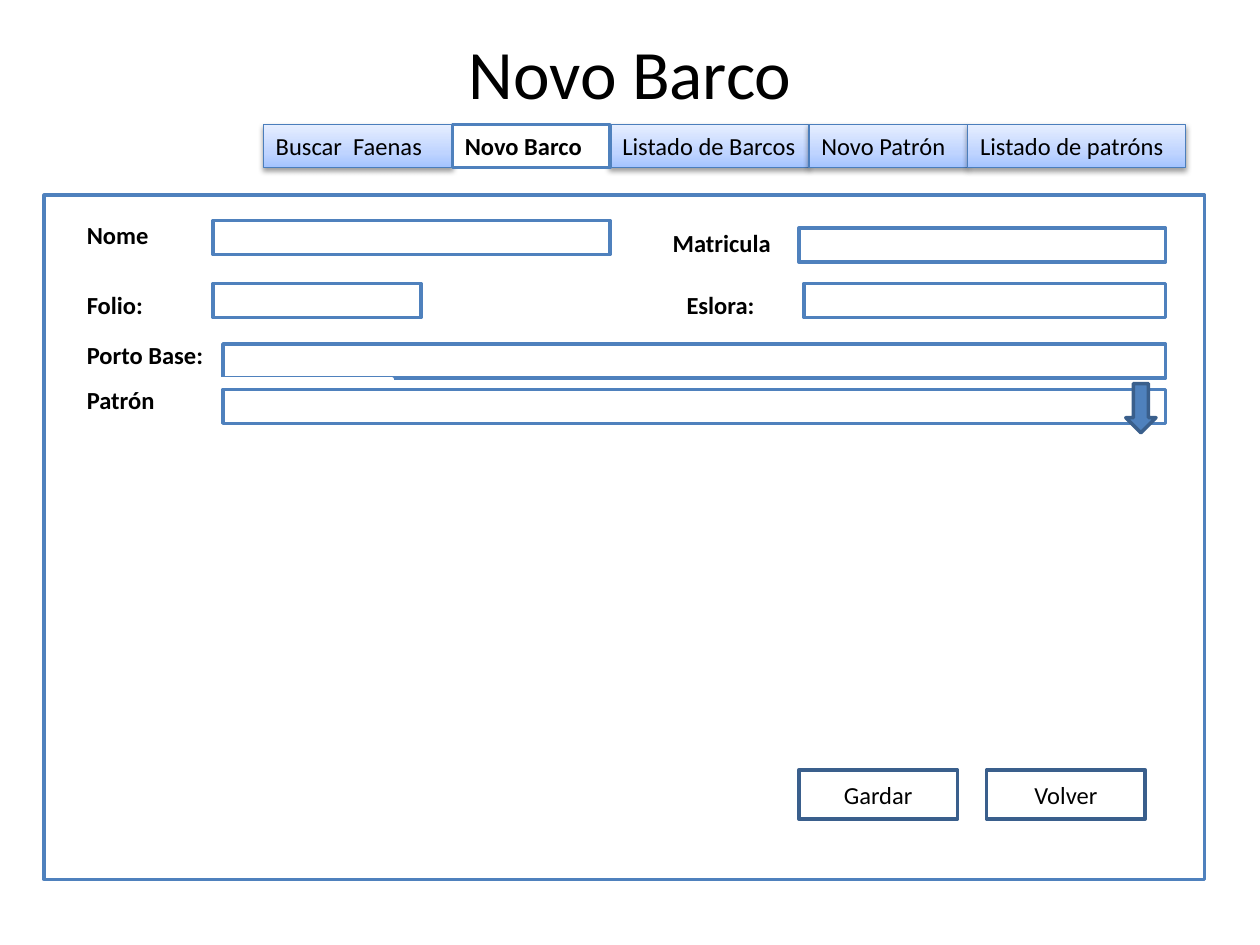
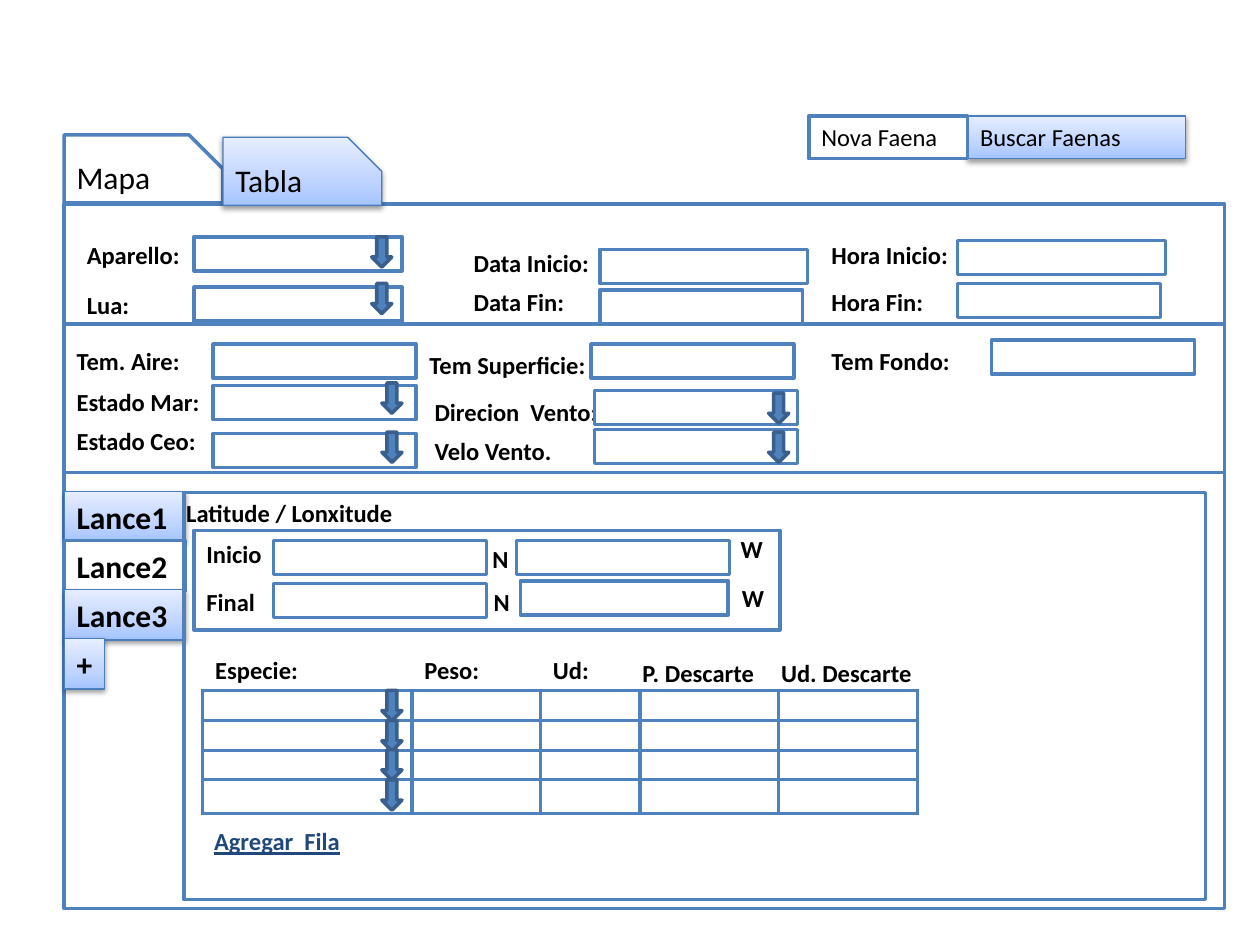
import dataclasses
import pptx
import pptx.util
import pptx.dml.color
import pptx.enum.shapes
import pptx.enum.text
import pptx.oxml
import pptx.oxml.ns

Inches, Pt = pptx.util.Inches, pptx.util.Pt
Kind = pptx.enum.shapes.MSO_SHAPE
Align = pptx.enum.text.PP_ALIGN
Anchor = pptx.enum.text.MSO_ANCHOR
NS = pptx.oxml.ns.nsdecls("a")


@dataclasses.dataclass(frozen=True)
class Theme:
    font: str = "Calibri"
    ink: str = "000000"
    paper: str = "FFFFFF"
    blue: str = "4F81BD"
    dark: str = "3A5F8C"
    rim: str = "4B7EBC"
    link: str = "1F497D"
    glow: tuple = ((0, "A4C4FF"), (35, "BFD4FF"), (100, "E6EEFF"))
    title: float = 39.6
    large: float = 18
    text: float = 14
    line: float = 2
    thin: float = 0.75
    row: float = 0.34    # height of a label or tab
    field: float = 0.27  # height of an input field
    label: float = 2.52  # width of a label


T = Theme()


@dataclasses.dataclass(frozen=True)
class Box:
    x: float
    y: float
    w: float
    h: float

    def sub(self, dx, dy, w, h):
        return Box(self.x + dx, self.y + dy, w, h)

    def frame(self):
        return [Inches(round(v, 2)) for v in (self.x, self.y, self.w, self.h)]


def rgb(code):
    return pptx.dml.color.RGBColor.from_string(code)


# Basic parts
def write(shape, text, size=T.text, bold=False, color=T.ink, center=False):
    frame = shape.text_frame
    frame.text = text
    frame.word_wrap = True
    frame.vertical_anchor = Anchor.MIDDLE if center else Anchor.TOP
    if not center:
        frame.margin_right = 0
    par = frame.paragraphs[0]
    par.alignment = Align.CENTER if center else Align.LEFT
    font = par.runs[0].font
    font.name, font.size, font.bold = T.font, Pt(size), bold
    font.color.rgb = rgb(color)
    return font


def block(slide, box, fill=T.paper, line=T.blue, kind=Kind.RECTANGLE):
    shape = slide.shapes.add_shape(kind, *box.frame())
    shape.shadow.inherit = False
    if fill:
        shape.fill.solid()
        shape.fill.fore_color.rgb = rgb(fill)
    else:
        shape.fill.background()
    shape.line.color.rgb = rgb(line)
    shape.line.width = Pt(T.line)
    return shape


def shade(shape):
    """Give a tab its gradient, thin rim and soft shadow."""
    stops = "".join(f'<a:gs pos="{p * 1000}"><a:srgbClr val="{c}"/></a:gs>'
                    for p, c in T.glow)
    grad = pptx.oxml.parse_xml(
        f'<a:gradFill {NS} rotWithShape="1"><a:gsLst>{stops}</a:gsLst>'
        '<a:lin ang="16200000" scaled="0"/></a:gradFill>')
    cast = pptx.oxml.parse_xml(
        f'<a:outerShdw {NS} blurRad="{Pt(3.1)}" dist="{Pt(1.6)}" dir="5400000"'
        ' rotWithShape="0"><a:srgbClr val="000000"><a:alpha val="38000"/>'
        '</a:srgbClr></a:outerShdw>')
    props = shape.element.spPr
    solid = props.find(pptx.oxml.ns.qn("a:solidFill"))
    props.replace(solid, grad)
    props.find(pptx.oxml.ns.qn("a:effectLst")).append(cast)
    shape.line.color.rgb = rgb(T.rim)
    shape.line.width = Pt(T.thin)


def tab(slide, box, text, live=False, size=T.text, bold=False,
        kind=Kind.RECTANGLE):
    shape = block(slide, box, kind=kind)
    if kind == Kind.SNIP_1_RECTANGLE:
        shape.adjustments[0] = 0.5
    if not live:
        shade(shape)
    write(shape, text, size, bold)


def label(slide, box, text, solid=False):
    if solid:
        shape = block(slide, box, line=T.paper)
    else:
        shape = slide.shapes.add_textbox(*box.frame())
    return write(shape, text, bold=True)


def arrow(slide, box):
    shape = block(slide, box, T.blue, T.dark, Kind.RIGHT_ARROW)
    shape.rotation = 90


def entry(slide, box, text, tag, slot, pick=None, solid=True):
    """A label at tag, a field at slot (x, y, width), an arrow at pick."""
    label(slide, box.sub(*tag, T.label, T.row), text, solid)
    block(slide, box.sub(*slot, T.field), T.paper if solid else None)
    if pick:
        arrow(slide, box.sub(*pick, 0.24, 0.16))


def tabs(slide, box, items, live):
    x = 0
    for text, width in items:
        if text != live:
            tab(slide, box.sub(x, 0, width, box.h), text)
        x += width
    x = 0
    for text, width in items:
        if text == live:
            tab(slide, box.sub(x, 0, width, box.h), text, True,
                bold=len(items) > 2)
        x += width


# Slide 1: form for a new boat
def heading(slide, box, text):
    title = slide.shapes.title
    title.left, title.top, title.width, title.height = box.frame()
    write(title, text, T.title, center=True)


def boat(slide, box):
    block(slide, box)
    for text, tag, slot in (
            ("Nome", (0.24, 0.15), (1.34, 0.2, 3.15)),
            ("Folio:", (0.24, 0.7), (1.34, 0.7, 1.65)),
            ("Eslora:", (5, 0.7), (6.03, 0.7, 2.87)),
            ("Porto Base:", (0.24, 1.1), (1.42, 1.18, 7.48)),
            ("Matricula", (4.89, 0.21), (5.99, 0.26, 2.91)),
            ("Patrón", (0.24, 1.46), (1.42, 1.54, 7.48))):
        entry(slide, box, text, tag, slot)
    arrow(slide, box.sub(8.51, 1.57, 0.39, 0.24))
    for i, text in enumerate(("Gardar", "Volver")):
        key = block(slide, box.sub(5.99 + 1.49 * i, 4.56, 1.26, 0.39),
                    line=T.dark)
        write(key, text, center=True)


# Slide 2: regions of the fishing trip form
def trip(slide, box):
    for text, tag, slot, pick in (
            ("Data Fin:", (3.15, 0.61), (4.25, 0.68, 1.61), None),
            ("Data Inicio:", (3.15, 0.3), (4.25, 0.36, 1.65), None),
            ("Hora Inicio:", (5.99, 0.24), (7.09, 0.29, 1.65), None),
            ("Hora Fin:", (5.99, 0.61), (7.09, 0.63, 1.61), None),
            ("Aparello:", (0.08, 0.24), (1.03, 0.26, 1.65), (2.4, 0.3)),
            ("Lua:", (0.08, 0.63), (1.03, 0.66, 1.65), (2.4, 0.67))):
        entry(slide, box, text, tag, slot, pick)


def weather(slide, box):
    for text, tag, slot, pick in (
            ("Tem. Aire:", (0, 0.13), (1.18, 0.16), None),
            ("Estado Mar:", (0, 0.45), (1.18, 0.49), (2.48, 0.51)),
            ("Estado Ceo:", (0, 0.76), (1.18, 0.87), (2.48, 0.9)),
            ("Tem Superficie:", (2.8, 0.16), (4.18, 0.16), None),
            ("Direcion  Vento:", (2.84, 0.53), (4.21, 0.53), (5.55, 0.59)),
            ("Velo Vento.", (2.84, 0.84), (4.21, 0.84), (5.55, 0.9)),
            ("Tem Fondo:", (5.99, 0.13), (7.36, 0.13), None)):
        entry(slide, box, text, tag, (*slot, 1.61), pick, solid=False)
    block(slide, box, None)


def casts(slide, box):
    for i, text in enumerate(("Lance1", "Lance2", "Lance3", "+")):
        width = 0.32 if text == "+" else box.w
        tab(slide, box.sub(0, 0.39 * i, width, 0.4), text, text == "Lance2",
            T.large, True)


def place(slide, box):
    block(slide, box)
    for x, y, w in ((0.63, 0.08, 1.69), (2.56, 0.08, 1.69),
                    (0.63, 0.42, 1.69), (2.59, 0.4, 1.65)):
        block(slide, box.sub(x, y, w, T.field))
    for text, x, y, w in (
            ("Latitude / Lonxitude", -0.16, -0.31, 2.57),
            ("Inicio", 0, 0.02, 0.8), ("Final", 0, 0.4, 0.8),
            ("N", 2.27, 0.06, 0.4), ("N", 2.28, 0.4, 0.4),
            ("W", 4.24, -0.02, 0.4), ("W", 4.25, 0.37, 0.4)):
        label(slide, box.sub(x, y, w, T.row), text)


def edge(cell):
    """Line all four sides of a cell and keep its empty text small."""
    props = cell._tc.get_or_add_tcPr()
    for i, side in enumerate("LRTB"):
        props.insert(i, pptx.oxml.parse_xml(
            f'<a:ln{side} {NS} w="{Pt(T.line)}"><a:solidFill>'
            f'<a:srgbClr val="{T.blue}"/></a:solidFill></a:ln{side}>'))
    par = cell.text_frame.paragraphs[0]._p
    par.append(pptx.oxml.parse_xml(f'<a:endParaRPr {NS} sz="800"/>'))


def catch(slide, box):
    cols = (("Especie:", 1.66, 0, 0), ("Peso:", 1.02, 0, 0),
            ("Ud:", 0.79, 0, 0), ("P. Descarte", 1.1, -0.08, 0.02),
            ("Ud. Descarte", 1.1, -0.08, 0.02))
    rows = (0.24, 0.24, 0.23, 0.27)
    # Column names
    x = 0
    for text, width, dx, dy in cols:
        label(slide, box.sub(x + dx, dy - 0.33, 1.35, T.row), text)
        x += width
    # Empty grid
    grid = slide.shapes.add_table(len(rows), len(cols), *box.frame()).table
    grid.first_row = grid.horz_banding = False
    for col, part in zip(grid.columns, cols):
        col.width = Inches(part[1])
    for row, height in zip(grid.rows, rows):
        row.height = Inches(height)
        for cell in row.cells:
            cell.margin_top = cell.margin_bottom = 0
            cell.fill.solid()
            cell.fill.fore_color.rgb = rgb(T.paper)
            edge(cell)
    # Species pickers and the link for a new row
    for i in range(len(rows)):
        arrow(slide, box.sub(1.38, 0.04 + 0.237 * i, 0.24, 0.16))
    font = label(slide, box.sub(-0.01, 1.03, 1.98, T.row), "Agregar  Fila",
                 True)
    font.underline = True
    font.color.rgb = rgb(T.link)


def first(deck):
    slide = deck.slides.add_slide(deck.slide_layouts[5])
    heading(slide, Box(0.5, 0.3, 9, 0.54), "Novo Barco")
    tabs(slide, Box(2.09, 0.99, 7.32, T.row),
         (("Buscar  Faenas", 1.5), ("Novo Barco", 1.25),
          ("Listado de Barcos", 1.58), ("Novo Patrón", 1.26),
          ("Listado de patróns", 1.73)), "Novo Barco")
    boat(slide, Box(0.35, 1.55, 9.21, 5.43))


def second(deck):
    slide = deck.slides.add_slide(deck.slide_layouts[6])
    tabs(slide, Box(6.42, 0.92, 2.99, T.row),
         (("Nova Faena", 1.26), ("Buscar Faenas", 1.73)), "Nova Faena")
    page = Box(0.51, 1.62, 9.21, 5.59)
    block(slide, page)
    for i, text in enumerate(("Mapa", "Tabla")):
        tab(slide, page.sub(1.26 * i, 0.02 * i - 0.55, 1.26, 0.54), text,
            text == "Mapa", T.large, kind=Kind.SNIP_1_RECTANGLE)
    trip(slide, page)
    weather(slide, page.sub(0, 0.95, page.w, 1.18))
    casts(slide, page.sub(0, 2.28, 0.96, 1.57))
    block(slide, page.sub(0.95, 2.29, 8.11, 3.23), None)
    place(slide, page.sub(1.03, 2.59, 4.65, 0.79))
    catch(slide, page.sub(1.1, 3.86, 5.67, 0.98))


def main():
    deck = pptx.Presentation()
    deck.slide_width, deck.slide_height = Inches(10), Inches(7.5)
    first(deck)
    second(deck)
    deck.save("out.pptx")


if __name__ == "__main__":
    main()
